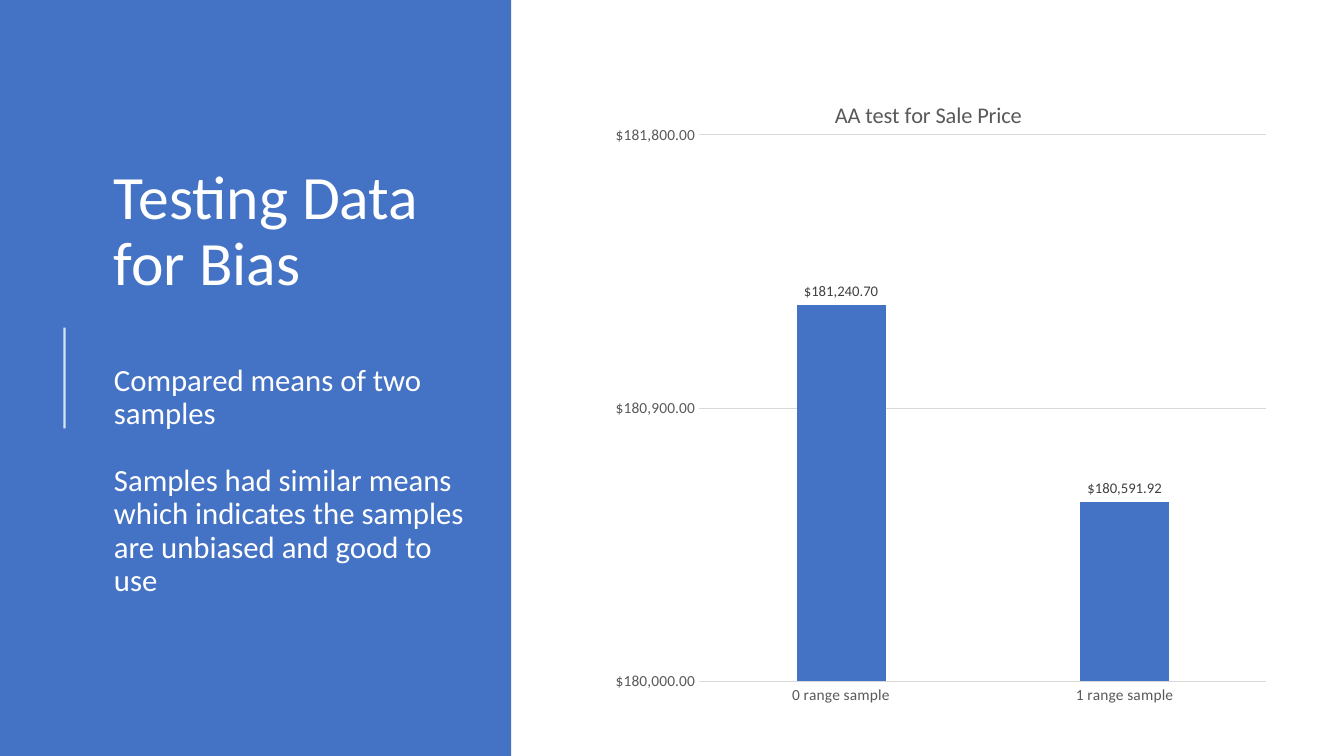
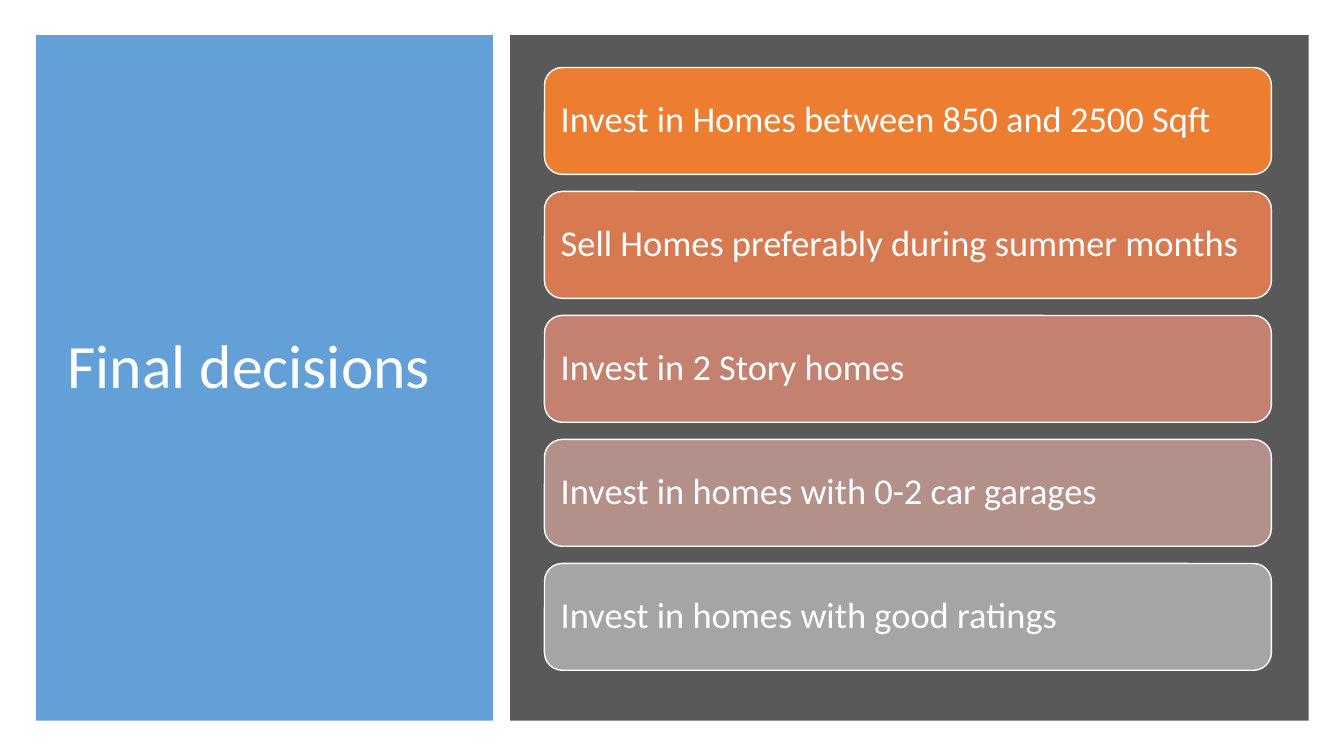
from pptx import Presentation
from pptx.chart.data import CategoryChartData
from pptx.dml.color import RGBColor
from pptx.enum.chart import XL_CHART_TYPE as ChartType, XL_LABEL_POSITION as LabelPosition
from pptx.enum.chart import XL_TICK_MARK as TickMark
from pptx.enum.shapes import MSO_CONNECTOR as Connector, MSO_SHAPE as Shape
from pptx.enum.text import MSO_ANCHOR as Anchor, MSO_AUTO_SIZE as AutoSize, PP_ALIGN as Align
from pptx.oxml import parse_xml
from pptx.oxml.ns import nsdecls, qn
from pptx.util import Emu, Pt

EMU_PER_PX = 9144


def px(*lengths):
    return [Emu(length * EMU_PER_PX) for length in lengths]


def color(value):
    return RGBColor.from_string(value)


def fade(element, percent):
    tint = element.spPr.find(".//" + qn("a:srgbClr"))
    tint.append(parse_xml(f'<a:alpha {nsdecls("a")} val="{percent * 1000}"/>'))


def manual_layout(target, before, **values):
    children = "".join(f'<c:{name} val="{value}"/>' for name, value in values.items())
    for old in target.findall(qn("c:layout")):
        target.remove(old)
    layout = parse_xml(
        f'<c:layout {nsdecls("c")}><c:manualLayout>{children}</c:manualLayout></c:layout>')
    target.find(qn(before)).addprevious(layout)


class Deck:
    FONT = "Calibri"
    WHITE, BLUE, SKY = "FFFFFF", "4472C4", "5B9BD5"
    GRAY, DARK, RULE = "595959", "404040", "D9D9D9"
    MONEY = '"$"#,##0.00'

    def __init__(self, width, height):
        self.deck = Presentation()
        self.deck.slide_width, self.deck.slide_height = px(width, height)
        self.page = None

    def add_page(self):
        self.page = self.deck.slides.add_slide(self.deck.slide_layouts[5])

    def style(self, font, size, tint):
        font.name, font.size = self.FONT, Pt(size)
        font.color.rgb = color(tint)

    def add_text(self, frame, text, size=22, tint=WHITE, after=0, first=False):
        para = frame.paragraphs[0] if first else frame.add_paragraph()
        para.alignment, para.line_spacing = Align.LEFT, 0.9
        para.space_before, para.space_after = Pt(0), Pt(after)
        span = para.add_run()
        span.text = text
        self.style(span.font, size, tint)

    def title(self, left, top, width, height, text, after=0):
        box = self.page.shapes.title
        box.left, box.top, box.width, box.height = px(left, top, width, height)
        box._element.getparent().append(box._element)
        frame = box.text_frame
        frame.word_wrap, frame.auto_size = True, AutoSize.NONE
        frame.vertical_anchor = Anchor.MIDDLE
        self.add_text(frame, text, size=44, after=after, first=True)
        return frame

    def box(self, left, top, width, height, fill, kind=Shape.RECTANGLE, opacity=100):
        box = self.page.shapes.add_shape(kind, *px(left, top, width, height))
        box.shadow.inherit = False
        box.fill.solid()
        box.fill.fore_color.rgb = color(fill)
        box.line.fill.background()
        if opacity < 100:
            fade(box._element, opacity)
        return box

    def card(self, left, top, width, height, fill, text):
        card = self.box(left, top, width, height, fill, Shape.ROUNDED_RECTANGLE)
        card.line.color.rgb = color(self.WHITE)
        card.line.width = Pt(1)
        frame = card.text_frame
        frame.word_wrap, frame.vertical_anchor = True, Anchor.MIDDLE
        frame.margin_left, frame.margin_top, frame.margin_right, frame.margin_bottom = px(*[11] * 4)
        self.add_text(frame, text, size=26, first=True)

    def line(self, x1, y1, x2, y2, tint, weight, opacity):
        line = self.page.shapes.add_connector(Connector.STRAIGHT, *px(x1, y1, x2, y2))
        line.line.color.rgb = color(tint)
        line.line.width = Pt(weight)
        fade(line._element, opacity)
        line._element.spPr.append(parse_xml(f'<a:effectLst {nsdecls("a")}/>'))

    def column_chart(self, left, top, width, height, title, values, low, high, step):
        data = CategoryChartData(number_format=self.MONEY)
        data.categories = list(values)
        data.add_series("Series 1", list(values.values()))
        chart = self.page.shapes.add_chart(
            ChartType.COLUMN_CLUSTERED, *px(left, top, width, height), data).chart
        self.style(chart.font, 10, "000000")
        chart.has_legend = False

        heading = chart.chart_title
        heading.text_frame.text = title
        font = heading.text_frame.paragraphs[0].runs[0].font
        self.style(font, 16, self.GRAY)
        font.bold = False
        manual_layout(heading._element, "c:overlay", xMode="edge", yMode="edge", x=0.36, y=0.04)

        for axis in (chart.category_axis, chart.value_axis):
            axis.major_tick_mark = axis.minor_tick_mark = TickMark.NONE
            self.style(axis.tick_labels.font, 11, self.GRAY)
        chart.category_axis.format.line.color.rgb = color(self.RULE)
        chart.category_axis.format.line.width = Pt(0.75)
        scale = chart.value_axis
        scale.minimum_scale, scale.maximum_scale, scale.major_unit = low, high, step
        scale.format.line.fill.background()
        scale.major_gridlines.format.line.color.rgb = color(self.RULE)
        scale.major_gridlines.format.line.width = Pt(0.75)
        scale.tick_labels.number_format = self.MONEY
        scale.tick_labels.number_format_is_linked = False

        plot = chart.plots[0]
        plot.vary_by_categories = False
        plot.gap_width, plot.overlap = 219, -27
        columns = plot.series[0].format.fill
        columns.solid()
        columns.fore_color.rgb = color(self.BLUE)
        plot.has_data_labels = True
        labels = plot.data_labels
        labels.show_value, labels.position = True, LabelPosition.OUTSIDE_END
        labels.number_format, labels.number_format_is_linked = self.MONEY, False
        self.style(labels.font, 10.5, self.DARK)
        manual_layout(plot._element.getparent(), "c:barChart", layoutTarget="inner",
                      xMode="edge", yMode="edge", x=0.17, y=0.1, w=0.82, h=0.85)

    def save(self):
        self.deck.save("out.pptx")


def bias_page(deck):
    deck.add_page()
    deck.box(0, 0, 507, 750, deck.BLUE)
    frame = deck.title(103, 78, 369, 602, "Testing Data for Bias", after=47)
    deck.add_text(frame, "Compared means of two samples", after=24)
    deck.add_text(frame, "Samples had similar means which indicates the samples "
                         "are unbiased and good to use")
    deck.line(64, 425, 64, 325, deck.WHITE, weight=1.5, opacity=80)
    deck.column_chart(577, 70, 686, 638, "AA test for Sale Price",
                      {"0 range sample": 181240.70, "1 range sample": 180591.92},
                      low=180000, high=181800, step=900)


def decisions_page(deck):
    decisions = [
        ("ED7D31", "Invest in Homes between 850 and 2500 Sqft"),
        ("D87A51", "Sell Homes preferably during summer months"),
        ("C48170", "Invest in 2 Story homes"),
        ("B4908B", "Invest in homes with 0-2 car garages"),
        ("A5A5A5", "Invest in homes with good ratings"),
    ]
    card_height, gap = 106, 17
    deck.add_page()
    deck.box(36, 35, 453, 680, deck.SKY, opacity=95)
    deck.title(57, 64, 407, 604, "Final decisions")
    deck.box(506, 35, 792, 680, deck.GRAY)
    for row, (fill, text) in enumerate(decisions):
        deck.card(540, 67 + row * (card_height + gap), 721, card_height, fill, text)


def main():
    deck = Deck(1333, 750)
    bias_page(deck)
    decisions_page(deck)
    deck.save()


if __name__ == "__main__":
    main()
